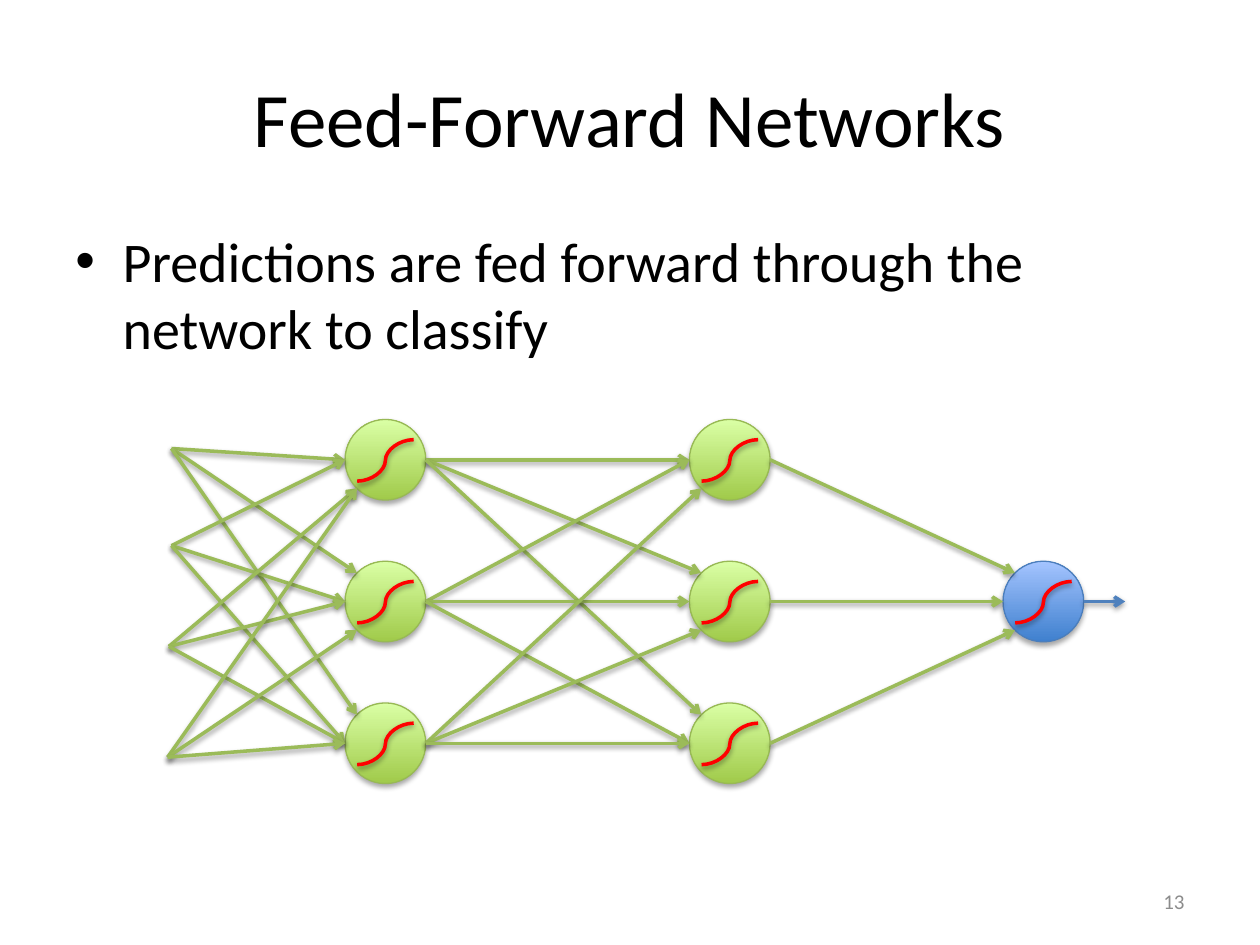
import pptx
import pptx.util
import pptx.dml.color
import pptx.enum.dml
import pptx.enum.shapes
import pptx.enum.text
import pptx.oxml
import pptx.oxml.ns
from dataclasses import dataclass
from typing import Any

Pt = pptx.util.Pt
ALIGN = pptx.enum.text.PP_ALIGN
ANCHOR = pptx.enum.text.MSO_ANCHOR
KIND = pptx.enum.shapes.MSO_CONNECTOR
NS = pptx.oxml.ns.nsdecls("a")

COLORS = {
    "black": "000000", "gray": "8C8C8C", "red": "FF0000",
    "link": "9BBB59", "green": "A0CA4A", "lime": "DAFFA5", "moss": "98B955",
    "exit": "4F81BD", "blue": "3F80CE", "sky": "A4C4FF", "navy": "4B7EBC",
}
SIZE = 46.1
TOP, STEP = 239.7, 81
ROWS = [TOP + STEP * row for row in range(3)]
FIRST, NEXT, LAST = 197.2, 394, 573.2
EDGE = SIZE * (1 - 0.5 ** 0.5) / 2
PORTS = {"left": (0, SIZE / 2), "up": (EDGE, EDGE), "down": (EDGE, SIZE - EDGE)}


@dataclass
class Label:
    text: str
    box: tuple[float, float, float, float]
    size: float
    color: str
    align: Any
    anchor: Any
    bullet: bool = False


@dataclass
class Node:
    left: float
    top: float
    dark: str = "green"
    light: str = "lime"
    rim: str = "moss"


@dataclass
class Fan:
    x: float
    y: float
    goals: list[Node]
    ports: list[str]


def paint(name: str) -> pptx.dml.color.RGBColor:
    return pptx.dml.color.RGBColor.from_string(COLORS[name])


def apply(target: Any, values: dict[str, Any]) -> None:
    for key, value in values.items():
        setattr(target, key, value)


def shade(shape: Any, drop: float, alpha: int) -> None:
    shape._element.spPr.append(pptx.oxml.parse_xml(
        f'<a:effectLst {NS}><a:outerShdw blurRad="{Pt(3.1)}" dist="{Pt(drop)}" '
        f'dir="5400000" rotWithShape="0"><a:srgbClr val="{COLORS["black"]}">'
        f'<a:alpha val="{alpha * 1000}"/></a:srgbClr></a:outerShdw></a:effectLst>'))


def write(slide: Any, label: Label) -> None:
    frame = slide.shapes.add_textbox(*map(Pt, label.box)).text_frame
    apply(frame, {"word_wrap": True, "vertical_anchor": label.anchor})
    para = frame.paragraphs[0]
    para.alignment = label.align
    if label.bullet:
        props = para._p.get_or_add_pPr()
        props.set("marL", str(Pt(27)))
        props.set("indent", str(Pt(-27)))
        props.append(pptx.oxml.parse_xml(f'<a:buFont {NS} typeface="Arial"/>'))
        props.append(pptx.oxml.parse_xml(f'<a:buChar {NS} char="•"/>'))
    run = para.add_run()
    run.text = label.text
    apply(run.font, {"name": "Calibri", "size": Pt(label.size)})
    run.font.color.rgb = paint(label.color)


def join(slide: Any, start: tuple[float, float], end: tuple[float, float],
         color: str, kind: Any = KIND.STRAIGHT, arrow: bool = True) -> None:
    wire = slide.shapes.add_connector(kind, *map(Pt, start + end))
    wire.line.width = Pt(2)
    wire.line.color.rgb = paint(color)
    if arrow:
        wire.line._get_or_add_ln().append(
            pptx.oxml.parse_xml(f'<a:tailEnd {NS} type="arrow"/>'))
    shade(wire, 1.6, 38)


def draw(slide: Any, node: Node) -> None:
    disc = slide.shapes.add_shape(
        pptx.enum.shapes.MSO_SHAPE.OVAL,
        *map(Pt, (node.left, node.top, SIZE, SIZE)))
    disc.fill.gradient()
    disc.fill.gradient_angle = 90
    for stop, name in zip(disc.fill.gradient_stops, (node.dark, node.light)):
        stop.color.rgb = paint(name)
    disc.line.width = Pt(0.75)
    disc.line.color.rgb = paint(node.rim)
    shade(disc, 1.8, 35)
    join(slide, (node.left + 6.9, node.top + 35.3),
         (node.left + 39.2, node.top + 11.6), "red", KIND.CURVE, False)


def spread(slide: Any, fan: Fan) -> None:
    for goal, port in zip(fan.goals, fan.ports):
        dx, dy = PORTS[port]
        join(slide, (fan.x, fan.y), (goal.left + dx, goal.top + dy), "link")


def main() -> None:
    deck = pptx.Presentation()
    apply(deck, {"slide_width": Pt(720), "slide_height": Pt(540)})
    slide = deck.slides.add_slide(deck.slide_layouts[6])

    labels = [
        Label("Feed-Forward Networks", (36, 21.6, 648, 90), 44, "black",
              ALIGN.CENTER, ANCHOR.MIDDLE),
        Label("Predictions are fed forward through the network to classify",
              (36, 126, 648, 86.4), 32, "black", ALIGN.LEFT, ANCHOR.TOP, True),
        Label("13", (516, 500.5, 168, 28.8), 12, "gray",
              ALIGN.RIGHT, ANCHOR.MIDDLE),
    ]
    for label in labels:
        write(slide, label)

    front = [Node(FIRST, top) for top in ROWS]
    back = [Node(NEXT, top) for top in ROWS]
    final = Node(LAST, ROWS[1], "blue", "sky", "navy")
    for node in [*front, *back, final]:
        draw(slide, node)

    fans = [
        Fan(98, 256.3, front, ["left", "up", "up"]),
        Fan(98, 311.8, front, ["left", "left", "left"]),
        Fan(96.5, 369.4, front, ["down", "left", "left"]),
        Fan(95.8, 432.7, front, ["down", "down", "left"]),
    ]
    mesh = [["left", "up", "up"], ["left"] * 3, ["down", "down", "left"]]
    for node, ports in zip(front, mesh):
        fans.append(Fan(FIRST + SIZE, node.top + SIZE / 2, back, ports))
    for node, port in zip(back, ["up", "left", "down"]):
        fans.append(Fan(NEXT + SIZE, node.top + SIZE / 2, [final], [port]))
    for fan in fans:
        spread(slide, fan)

    middle = final.top + SIZE / 2
    join(slide, (LAST + SIZE, middle), (643, middle), "exit")
    deck.save("out.pptx")


if __name__ == "__main__":
    main()
